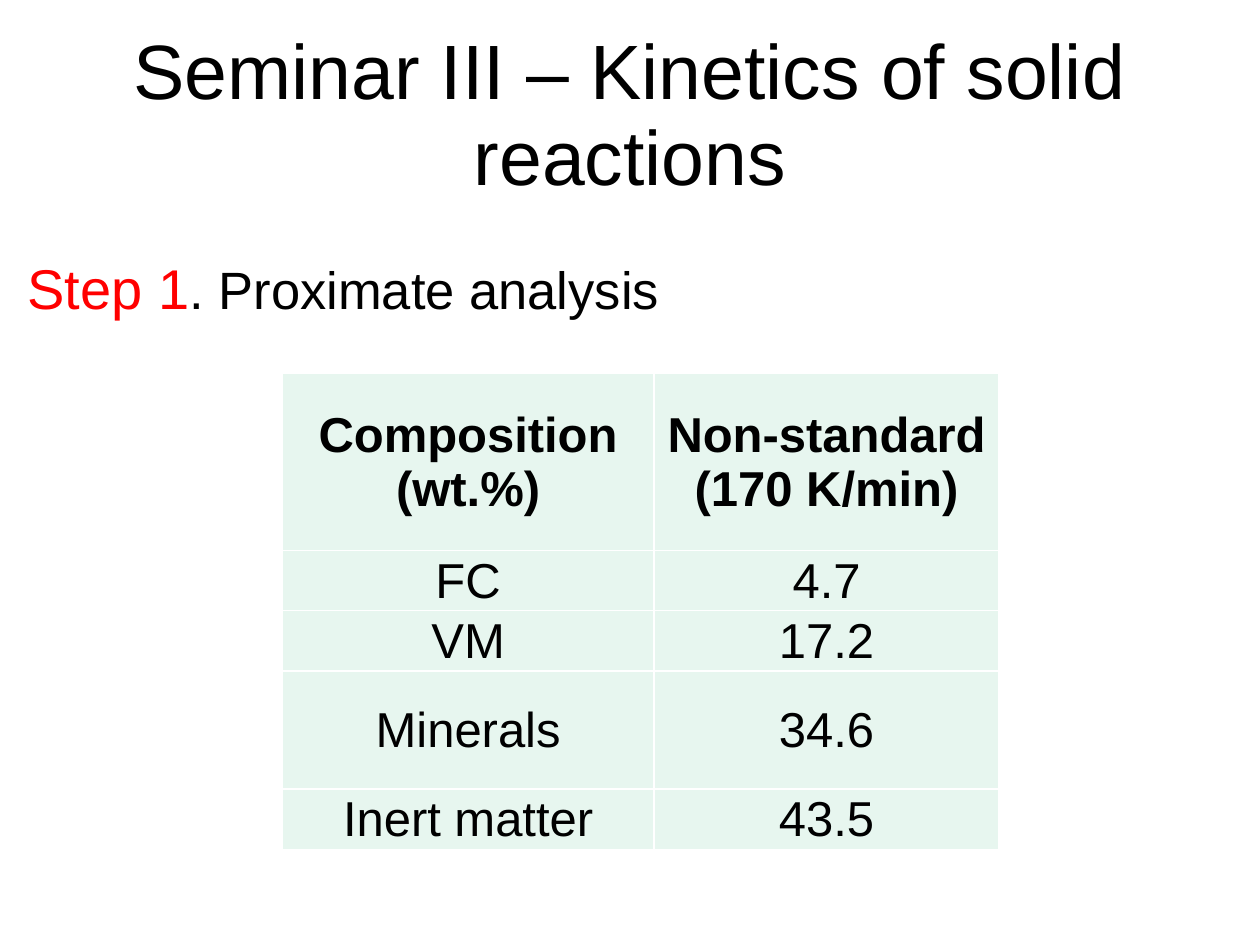
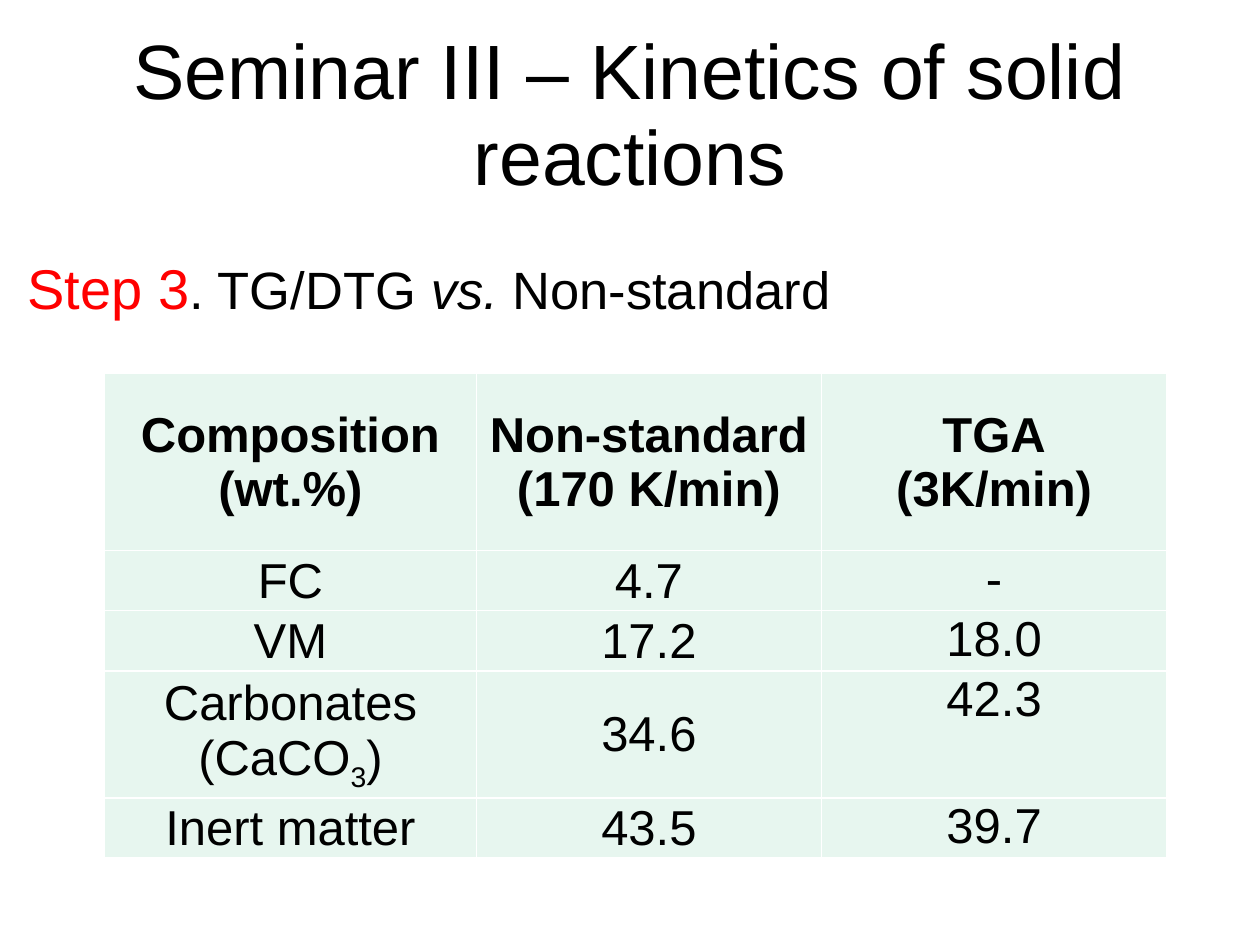
from lxml import etree
from pptx import Presentation
from pptx import util as u
from pptx.dml.color import RGBColor
from pptx.enum import text
from pptx.oxml import ns

BLACK = RGBColor(0x00, 0x00, 0x00)
RED = RGBColor(0xFF, 0x00, 0x00)
WHITE = RGBColor(0xFF, 0xFF, 0xFF)
MINT = RGBColor(0xE7, 0xF6, 0xEF)

FONT = "Arial"
TITLE = "Seminar III – Kinetics of solid reactions"
SLIDE_WIDTH, SLIDE_HEIGHT = 10, 7.5
TABLE_TOP = 2.96
LABEL_WIDTH, VALUE_WIDTH = 2.95, 2.74
ROW_HEIGHTS = [1.41, 0.47, 0.47, 0.94, 0.47]


def add_run(paragraph, content, size=28, color=BLACK, bold=False, italic=False, subscript=False):
    """Add one formatted run to a paragraph."""
    run = paragraph.add_run()
    run.text = content
    font = run.font
    font.name, font.size = FONT, u.Pt(size)
    font.bold, font.italic = bold, italic
    font.color.rgb = color
    if subscript:
        run._r.get_or_add_rPr().set("baseline", "-25000")


class Deck:
    """Holds the shared style and the current slide."""

    def __init__(self):
        self.presentation = Presentation()
        self.presentation.slide_width = u.Inches(SLIDE_WIDTH)
        self.presentation.slide_height = u.Inches(SLIDE_HEIGHT)
        self.slide = None

    def add_slide(self):
        self.slide = self.presentation.slides.add_slide(self.presentation.slide_layouts[6])
        self.add_title()

    def add_box(self, left, top, width, height):
        box = self.slide.shapes.add_textbox(*map(u.Inches, (left, top, width, height)))
        box.text_frame.word_wrap = True
        return box.text_frame

    def add_title(self):
        frame = self.add_box(0.5, 0.3, 9, 1.25)
        frame.margin_left = frame.margin_right = frame.margin_top = frame.margin_bottom = 0
        frame.vertical_anchor = text.MSO_ANCHOR.MIDDLE
        paragraph = frame.paragraphs[0]
        paragraph.alignment = text.PP_ALIGN.CENTER
        paragraph.line_spacing = 0.93
        add_run(paragraph, TITLE, size=44)

    def add_step(self, number, *parts):
        """Add the step line; each part is a (text, italic) pair."""
        frame = self.add_box(0.12, 1.7, 9.69, 0.91)
        frame.auto_size = text.MSO_AUTO_SIZE.SHAPE_TO_FIT_TEXT
        paragraph = frame.paragraphs[0]
        paragraph.line_spacing = 1.5
        add_run(paragraph, f"Step {number}", size=32, color=RED)
        for content, italic in parts:
            add_run(paragraph, content, size=30, italic=italic)

    def add_table(self, left, rows):
        widths = [LABEL_WIDTH] + [VALUE_WIDTH] * (len(rows[0]) - 1)
        size = (sum(widths), sum(ROW_HEIGHTS))
        table = self.slide.shapes.add_table(
            len(rows), len(widths), *map(u.Inches, (left, TABLE_TOP, *size))).table
        table.first_row = table.horz_banding = False
        for column, width in zip(table.columns, widths):
            column.width = u.Inches(width)
        for row, height in zip(table.rows, ROW_HEIGHTS):
            row.height = u.Inches(height)
        for r, row in enumerate(rows):
            for c, content in enumerate(row):
                # The TGA values sit at the top of their cells
                at_top = r > 0 and c == 2
                self.fill_cell(table.cell(r, c), content, bold=r == 0, at_top=at_top)

    def fill_cell(self, cell, content, bold, at_top):
        cell.margin_left = cell.margin_right = cell.margin_top = u.Inches(0.01)
        cell.margin_bottom = 0
        cell.vertical_anchor = text.MSO_ANCHOR.TOP if at_top else text.MSO_ANCHOR.MIDDLE
        self.add_borders(cell)
        cell.fill.solid()
        cell.fill.fore_color.rgb = MINT
        paragraph = cell.text_frame.paragraphs[0]
        paragraph.alignment = text.PP_ALIGN.CENTER
        # Underscores mark a subscript, a line feed marks a line break
        for i, piece in enumerate(content.split("_")):
            for j, line in enumerate(piece.split("\n")):
                if j:
                    paragraph.add_line_break()
                add_run(paragraph, line, bold=bold, subscript=i % 2 == 1)

    def add_borders(self, cell):
        properties = cell._tc.get_or_add_tcPr()
        for side in ("lnL", "lnR", "lnT", "lnB"):
            line = etree.SubElement(properties, ns.qn(f"a:{side}"), w=str(u.Pt(1)))
            fill = etree.SubElement(line, ns.qn("a:solidFill"))
            etree.SubElement(fill, ns.qn("a:srgbClr"), val=str(WHITE))


def main():
    deck = Deck()
    header = ["Composition (wt.%)", "Non-standard (170 K/min)"]
    values = ["4.7", "17.2", "34.6", "43.5"]

    # Step 1: proximate analysis
    deck.add_slide()
    deck.add_step(1, (". Proximate analysis", False))
    fractions = ["FC", "VM", "Minerals", "Inert matter"]
    deck.add_table(2.24, [header, *zip(fractions, values)])

    # Step 3: comparison with thermogravimetry
    deck.add_slide()
    deck.add_step(3, (". TG/DTG ", False), ("vs.", True), (" Non-standard", False))
    fractions = ["FC", "VM", "Carbonates (CaCO_3_)", "Inert matter"]
    tga_values = ["-", "18.0", "42.3", "39.7"]
    deck.add_table(0.83, [header + ["TGA\n(3K/min)"], *zip(fractions, values, tga_values)])

    deck.presentation.save("out.pptx")


if __name__ == "__main__":
    main()
